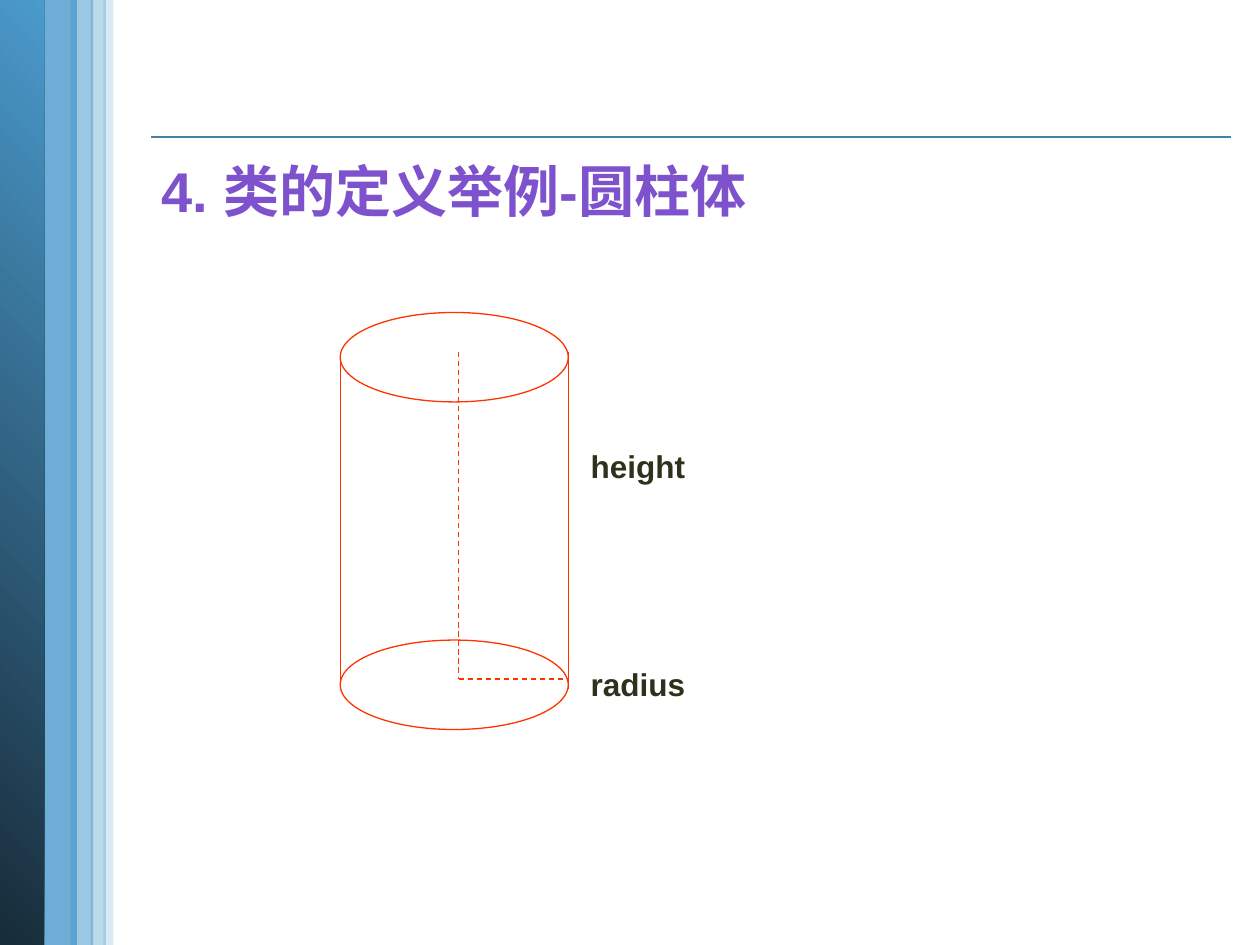
"""Build the cylinder class example slide."""
from lxml.etree import SubElement
from pptx import Presentation
from pptx.dml.color import RGBColor
from pptx.enum.dml import MSO_LINE
from pptx.enum.shapes import MSO_CONNECTOR, MSO_SHAPE
from pptx.oxml.ns import qn
from pptx.util import Inches, Pt

BLUE = RGBColor(0x4A, 0x9A, 0xCC)
NAVY = RGBColor(0x17, 0x2B, 0x38)
RULE = RGBColor(0x45, 0x82, 0xA7)
PURPLE = RGBColor(0x7E, 0x52, 0xCC)
RED = RGBColor(0xFF, 0x33, 0x00)
OLIVE = RGBColor(0x30, 0x31, 0x1D)
WHITE = RGBColor(0xFF, 0xFF, 0xFF)

prs = Presentation()
prs.slide_width, prs.slide_height = Inches(10), Inches(7.5)
slide = prs.slides.add_slide(prs.slide_layouts[6])
shapes = slide.shapes


def add_text(text, left, top, width, height, size=18, color=OLIVE, wrap=False):
    box = shapes.add_textbox(Inches(left), Inches(top), Inches(width), Inches(height))
    box.text_frame.word_wrap = wrap
    run = box.text_frame.paragraphs[0].add_run()
    run.text = text
    run.font.name = "Arial"
    run.font.size = Pt(size)
    run.font.bold = True
    run.font.color.rgb = color


def add_line(x1, y1, x2, y2, color=RED, width=0.75, dash=None):
    line = shapes.add_connector(
        MSO_CONNECTOR.STRAIGHT, Inches(x1), Inches(y1), Inches(x2), Inches(y2)
    )
    line.line.color.rgb = color
    line.line.width = Pt(width)
    if dash:
        line.line.dash_style = dash
    SubElement(line._element.spPr, qn("a:effectLst"))


add_line(1.2, 1.09, 9.77, 1.09, color=RULE, width=1)

for left, top, width, height, opacity in [
    (0.3, 0, 0.31, 7.53, 80),
    (-0.01, 0, 0.36, 7.5, None),
    (0.82, -0.02, 0.08, 7.52, 20),
    (0.56, 0, 0.18, 7.51, 54),
    (0.72, 0, 0.12, 7.52, 37),
]:
    band = shapes.add_shape(
        MSO_SHAPE.RECTANGLE, Inches(left), Inches(top), Inches(width), Inches(height)
    )
    band.shadow.inherit = False
    band.line.fill.background()
    if opacity is None:
        band.fill.gradient()
        band.fill.gradient_angle = 45
        for stop, color in zip(band.fill.gradient_stops, (NAVY, BLUE)):
            stop.color.rgb = color
    else:
        band.fill.solid()
        band.fill.fore_color.rgb = BLUE
        tint = band._element.spPr.find(qn("a:solidFill")).find(qn("a:srgbClr"))
        SubElement(tint, qn("a:alpha"), val=str(opacity * 1000))

add_text("4. 类的定义举例-圆柱体", 1.18, 1.19, 6.6, 0.62, size=32, color=PURPLE, wrap=True)

left_side, right_side, axis = 2.7, 4.51, 3.64
for top in (2.48, 5.08):
    base = shapes.add_shape(
        MSO_SHAPE.OVAL, Inches(left_side), Inches(top),
        Inches(right_side - left_side), Inches(0.71),
    )
    base.shadow.inherit = False
    base.fill.solid()
    base.fill.fore_color.rgb = WHITE
    base.line.color.rgb = RED
    base.line.width = Pt(0.75)

for side in (left_side, right_side):
    add_line(side, 2.79, side, 5.47)
add_line(axis, 5.39, right_side, 5.39, dash=MSO_LINE.DASH)
add_line(axis, 2.79, axis, 5.39, dash=MSO_LINE.DASH)

for label, top in (("radius", 5.23), ("height", 3.5)):
    add_text(label, 4.59, top, 0.96, 0.4)

prs.save("out.pptx")
